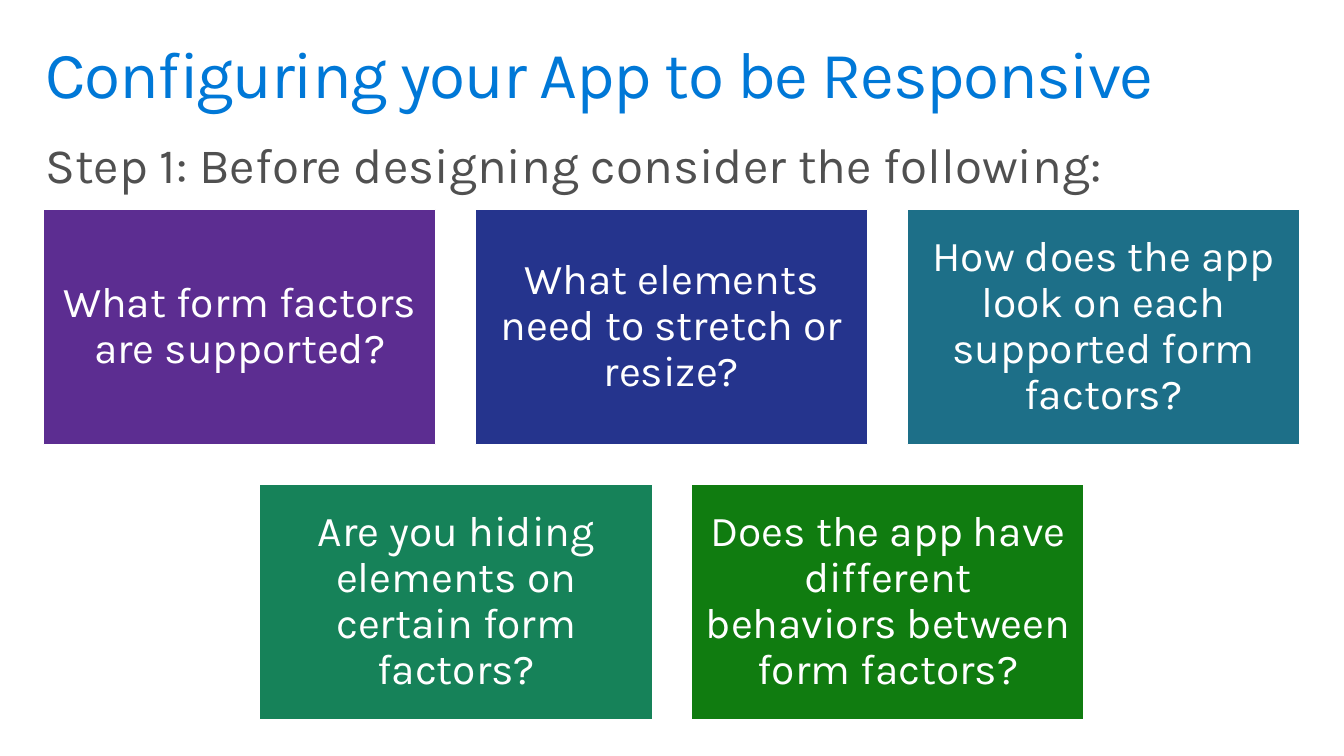
"""Build the slide of questions to ask before designing a responsive app."""
from dataclasses import dataclass

from pptx import Presentation
from pptx.dml.color import RGBColor
from pptx.enum.shapes import MSO_SHAPE as Shape
from pptx.enum.text import MSO_ANCHOR as Anchor, MSO_AUTO_SIZE as AutoSize, PP_ALIGN as Align
from pptx.util import Pt

EMU_PER_PX = 9144
SLIDE_WIDTH, SLIDE_HEIGHT = 1360, 765
TILE_WIDTH, TILE_HEIGHT, TILE_GAP = 397, 238, 40
TILES_TOP = 212
WHITE = "FFFFFF"


@dataclass(frozen=True)
class Box:
    left: int
    top: int
    width: int
    height: int


@dataclass(frozen=True)
class TextStyle:
    size: int
    color: str
    align: Align
    anchor: Anchor
    margin_x: int
    margin_y: int
    tracking: int = 0


@dataclass(frozen=True)
class Tile:
    question: str
    fill: str


TITLE_STYLE = TextStyle(48, "0078D7", Align.LEFT, Anchor.TOP, 16, 10, -100)
STEP_STYLE = TextStyle(36, "505050", Align.LEFT, Anchor.TOP, 16, 10)
TILE_STYLE = TextStyle(31, WHITE, Align.CENTER, Anchor.MIDDLE, 13, 13)

TILE_ROWS = [
    [
        Tile("What form factors are supported?", "5C2D91"),
        Tile("What elements need to stretch or resize?", "25348D"),
        Tile("How does the app look on each supported form factors?", "1D6F88"),
    ],
    [
        Tile("Are you hiding elements on certain form factors?", "168259"),
        Tile("Does the app have different behaviors between form factors?", "107C10"),
    ],
]


def px(length: int) -> int:
    return length * EMU_PER_PX


def rgb(color: str) -> RGBColor:
    return RGBColor.from_string(color)


def place(box: Box) -> tuple[int, int, int, int]:
    return px(box.left), px(box.top), px(box.width), px(box.height)


def apply_format(target, values: dict) -> None:
    for name, value in values.items():
        setattr(target, name, value)


def write_text(shape, text: str, style: TextStyle) -> None:
    frame = shape.text_frame
    apply_format(frame, {
        "word_wrap": True,
        "auto_size": AutoSize.NONE,
        "vertical_anchor": style.anchor,
        "margin_left": px(style.margin_x),
        "margin_right": px(style.margin_x),
        "margin_top": px(style.margin_y),
        "margin_bottom": px(style.margin_y),
    })
    paragraph = frame.paragraphs[0]
    apply_format(paragraph, {"alignment": style.align, "line_spacing": 0.9, "space_before": Pt(0)})
    run = paragraph.add_run()
    run.text = text
    apply_format(run.font, {"name": "Karla", "size": Pt(style.size)})
    run.font.color.rgb = rgb(style.color)
    if style.tracking:
        run._r.get_or_add_rPr().set("spc", str(style.tracking))


def add_title(slide, text: str, box: Box) -> None:
    title = slide.shapes.title
    apply_format(title, dict(zip(("left", "top", "width", "height"), place(box))))
    write_text(title, text, TITLE_STYLE)


def add_tile(slide, tile: Tile, box: Box) -> None:
    shape = slide.shapes.add_shape(Shape.RECTANGLE, *place(box))
    shape.shadow.inherit = False
    shape.fill.solid()
    shape.fill.fore_color.rgb = rgb(tile.fill)
    shape.line.color.rgb = rgb(WHITE)
    shape.line.width = Pt(0.85)
    write_text(shape, tile.question, TILE_STYLE)


def add_tile_row(slide, tiles: list[Tile], top: int) -> None:
    pitch = TILE_WIDTH + TILE_GAP
    left = (SLIDE_WIDTH - len(tiles) * pitch + TILE_GAP) // 2
    for column, tile in enumerate(tiles):
        add_tile(slide, tile, Box(left + column * pitch, top, TILE_WIDTH, TILE_HEIGHT))


def main() -> None:
    presentation = Presentation()
    presentation.slide_width = px(SLIDE_WIDTH)
    presentation.slide_height = px(SLIDE_HEIGHT)
    slide = presentation.slides.add_slide(presentation.slide_layouts.get_by_name("Title Only"))
    add_title(slide, "Configuring your App to be Responsive", Box(30, 32, 1300, 100))
    step = slide.shapes.add_textbox(*place(Box(30, 133, 1300, 75)))
    write_text(step, "Step 1: Before designing consider the following:", STEP_STYLE)
    for row, tiles in enumerate(TILE_ROWS):
        add_tile_row(slide, tiles, TILES_TOP + row * (TILE_HEIGHT + TILE_GAP))
    presentation.save("out.pptx")


if __name__ == "__main__":
    main()
